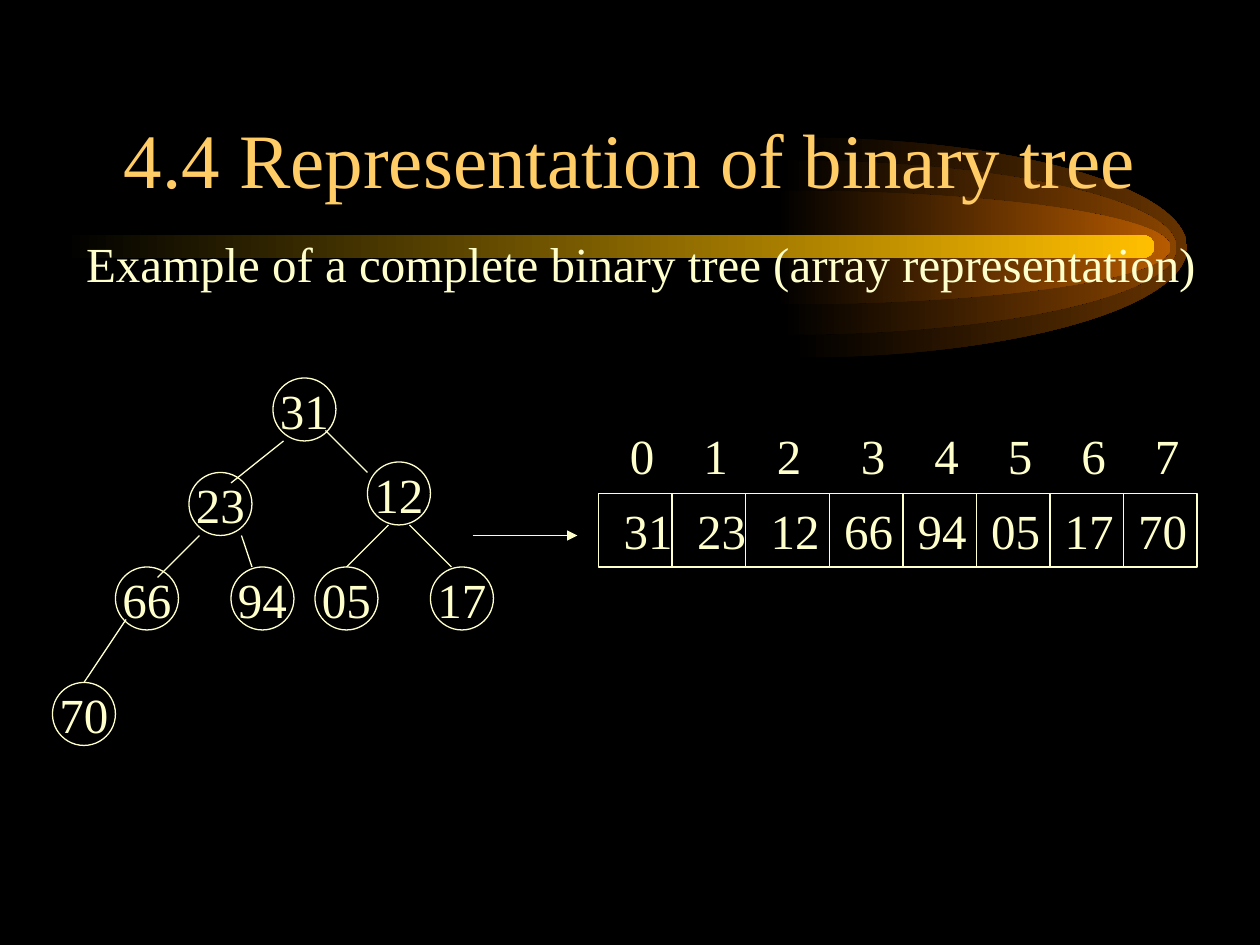
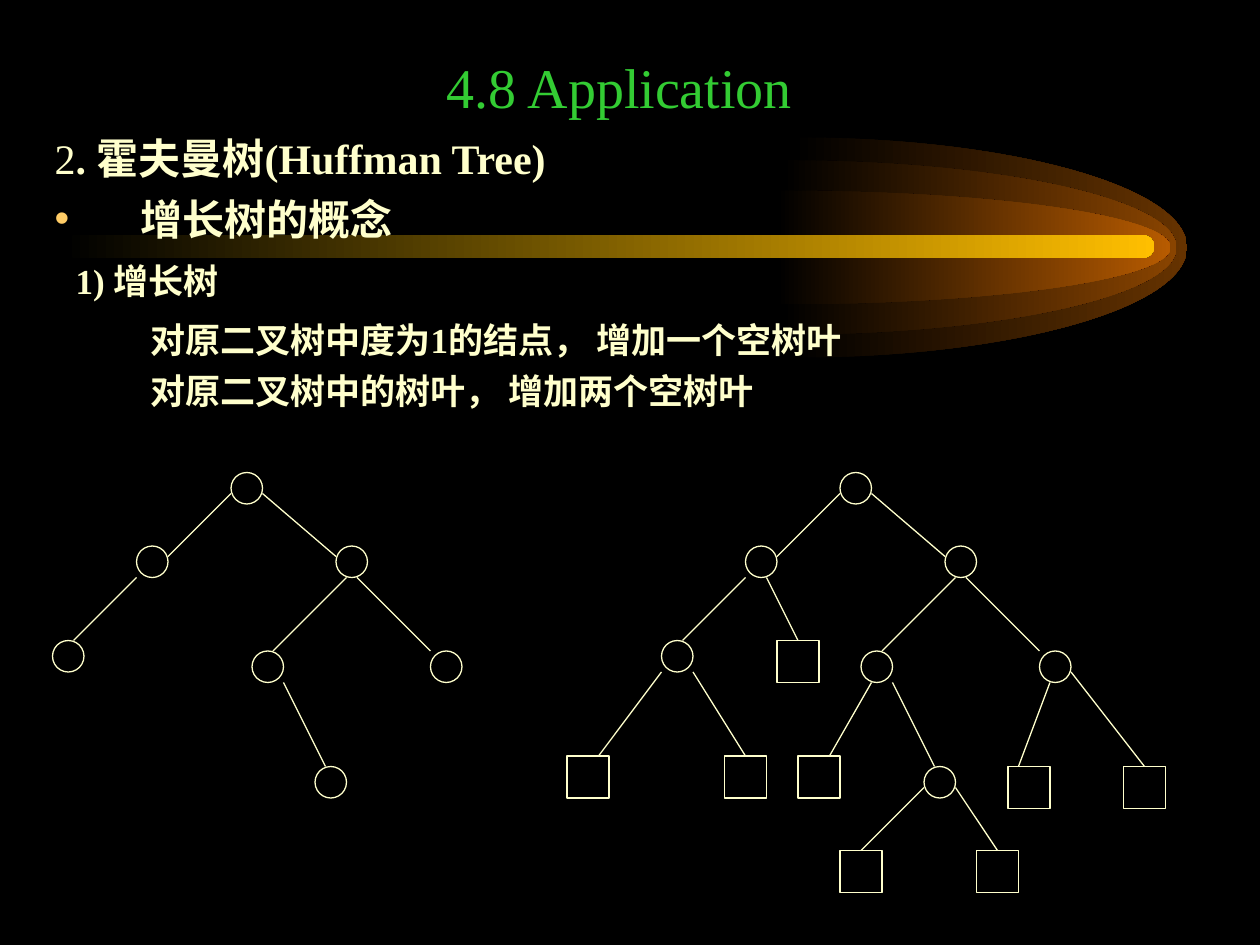
from dataclasses import dataclass

from lxml.etree import SubElement
from pptx import Presentation
from pptx.dml.color import RGBColor
from pptx.enum.shapes import MSO_CONNECTOR, MSO_SHAPE
from pptx.enum.text import MSO_ANCHOR, MSO_AUTO_SIZE, PP_ALIGN
from pptx.oxml.ns import qn
from pptx.util import Cm, Pt


@dataclass(frozen=True)
class Theme:
    font: str = "Times New Roman"
    background: str = "000000"
    text: str = "FFFFCC"
    title: str = "FFCC66"
    title_green: str = "33CC33"
    bar: str = "FFBF00"
    title_size: int = 44
    subtitle_size: int = 32
    node_size: int = 28
    heading_size: int = 24
    detail_size: int = 20
    line_width: float = 0.75


THEME = Theme()

# Comet halos: left edge and half height in cm, colour
HALOS = [(15.98, 2.22, "663300"), (15.77, 1.76, "894400"), (15.65, 1.15, "B75B00")]
HALO_LENGTH, COMET_AXIS = 7.95, 4.99
ARC_HANDLE = 0.55  # length of a Bezier handle for a quarter ellipse

# Everything below is counted in grid steps of a twelfth of an inch.
NUMBERED_NODES = [("31", 26, 36), ("23", 18, 45), ("12", 35, 44), ("66", 11, 54),
                  ("94", 22, 54), ("05", 30, 54), ("70", 5, 65), ("17", 41, 54)]
NUMBERED_EDGES = [(27, 42, 22, 46), (19, 51, 15, 55), (12, 59, 8, 65), (23, 51, 24, 54),
                  (31, 41, 35, 45), (37, 50, 33, 54), (39, 50, 43, 54)]
ARRAY_VALUES = ["31", "23", "12", "66", "94", "05", "17", "70"]
ARRAY_DIVIDERS = [64, 71, 79, 86, 93, 100, 107]
ARRAY_LEFT, ARRAY_TOP, ARRAY_WIDTH, ARRAY_HEIGHT = 57, 47, 57, 7

PLAIN_NODES = [(22, 45), (13, 52), (32, 52), (5, 61), (24, 62), (41, 62), (30, 73)]
PLAIN_EDGES = [(13, 55, 7, 61), (22, 47, 16, 53), (33, 55, 26, 62),
               (25, 47, 32, 53), (34, 55, 41, 62), (27, 65, 31, 73)]
EXTENDED_SHIFT = 58
# Empty leaf corner, then the edge that leads to it
EMPTY_LEAVES = [((74, 61), (73, 55, 76, 61)), ((54, 72), (63, 64, 57, 72)),
                ((69, 72), (66, 64, 71, 72)), ((76, 72), (83, 65, 79, 72)),
                ((80, 81), (88, 75, 82, 81)), ((93, 81), (91, 75, 95, 81)),
                ((96, 73), (100, 65, 97, 73)), ((107, 73), (102, 64, 109, 73))]


def grid(steps):
    return Cm(steps * 2.54 / 12)


def rgb(color):
    return RGBColor.from_string(color)


def add_text(p, text, size=THEME.node_size, color=THEME.text, bold=False):
    r = p.add_run()
    r.text = text
    r.font.name = THEME.font
    r.font.size = Pt(size)
    r.font.bold = bold
    r.font.color.rgb = rgb(color)


def set_list_paragraph(p, before=0, margin=0, bullet=None):
    """Set spacing, left margin in grid steps, and a hanging bullet if given."""
    pPr = p._p.get_or_add_pPr()
    pPr.set("marL", str(grid(margin)))
    pPr.set("indent", str(-grid(margin) if bullet else 0))
    if bullet:
        color = SubElement(SubElement(pPr, qn("a:buClr")), qn("a:srgbClr"))
        color.set("val", THEME.title)
        SubElement(pPr, qn("a:buChar")).set("char", bullet)
    else:
        SubElement(pPr, qn("a:buNone"))
    p.space_before = Pt(before)


def set_frame(tf, left=0.0, top=0.6, right=0.0, wrap=True, anchor=MSO_ANCHOR.TOP):
    tf.word_wrap = wrap
    tf.auto_size = MSO_AUTO_SIZE.NONE
    tf.vertical_anchor = anchor
    tf.margin_left, tf.margin_right = grid(left), grid(right)
    tf.margin_top, tf.margin_bottom = grid(top), grid(0.6)


def place(sp, left, top, width, height):
    sp.left, sp.top, sp.width, sp.height = map(grid, (left, top, width, height))


def fill_with_glow(sp, color):
    """Fade from the background on the left to the colour on the right."""
    sp.shadow.inherit = False
    sp.line.fill.background()
    sp.fill.gradient()
    sp.fill.gradient_angle = 0
    for stop, stop_color in zip(sp.fill.gradient_stops, (THEME.background, color)):
        stop.color.rgb = rgb(stop_color)
    sp.fill.gradient_stops[0].position = 0
    sp.fill.gradient_stops[1].position = 1


def bend(segment, points):
    """Turn a straight path segment into a Bezier curve through the points."""
    segment.clear()
    segment.tag = qn("a:cubicBezTo")
    for x, y in points:
        pt = SubElement(segment, qn("a:pt"))
        pt.set("x", str(Cm(x)))
        pt.set("y", str(Cm(y)))


def add_halo(slide, left, half_height, color):
    """Draw the right half of an ellipse around the comet's axis."""
    builder = slide.shapes.build_freeform(Cm(left), Cm(COMET_AXIS - half_height))
    builder.add_line_segments([(Cm(left + HALO_LENGTH), Cm(COMET_AXIS)),
                               (Cm(left), Cm(COMET_AXIS + half_height))], close=True)
    sp = builder.convert_to_shape()
    x, y = HALO_LENGTH * ARC_HANDLE, half_height * ARC_HANDLE
    bottom = 2 * half_height
    arcs = [[(x, 0), (HALO_LENGTH, half_height - y), (HALO_LENGTH, half_height)],
            [(HALO_LENGTH, half_height + y), (x, bottom), (0, bottom)]]
    for segment, points in zip(list(sp.element.iter(qn("a:lnTo"))), arcs):
        # A new element of the right kind takes the segment's place
        curve = SubElement(segment.getparent(), qn("a:cubicBezTo"))
        segment.getparent().replace(segment, curve)
        bend(curve, points)
    fill_with_glow(sp, color)
    return sp


def decorate_master(prs, slide):
    """Draw the comet on a slide, then move it to the master for all slides."""
    master = prs.slide_master
    master.background.fill.solid()
    master.background.fill.fore_color.rgb = rgb(THEME.background)
    comet = [add_halo(slide, *halo) for halo in HALOS]
    bar = slide.shapes.add_shape(MSO_SHAPE.ROUNDED_RECTANGLE,
                                 Cm(1.27), Cm(4.74), Cm(22), Cm(0.46))
    bar.adjustments[0] = 0.5
    fill_with_glow(bar, THEME.bar)
    for i, sp in enumerate(comet + [bar]):
        sp.element.nvSpPr.cNvPr.set("id", str(20 + i))
        master.shapes.element.insert(2 + i, sp.element)


def set_title(slide, text, box, **fmt):
    sp = slide.shapes.title
    place(sp, *box)
    set_frame(sp.text_frame, left=1.2, right=1.2, anchor=MSO_ANCHOR.BOTTOM)
    p = sp.text_frame.paragraphs[0]
    p.alignment = PP_ALIGN.CENTER
    add_text(p, text, **fmt)


def set_body(slide, box, lines, top=0.6):
    """Each line is its runs, as (text, format) pairs, and its paragraph format."""
    sp = slide.placeholders[1]
    place(sp, *box)
    tf = sp.text_frame
    set_frame(tf, left=1.2, top=top, right=1.2)
    for i, (runs, layout) in enumerate(lines):
        p = tf.add_paragraph() if i else tf.paragraphs[0]
        set_list_paragraph(p, **layout)
        for text, fmt in runs:
            add_text(p, text, **fmt)


def add_outline(slide, kind, left, top, width, height):
    sp = slide.shapes.add_shape(kind, *map(grid, (left, top, width, height)))
    sp.shadow.inherit = False
    sp.fill.background()
    sp.line.color.rgb = rgb(THEME.text)
    sp.line.width = Pt(THEME.line_width)
    return sp


def add_line(slide, x1, y1, x2, y2, arrow=False):
    line = slide.shapes.add_connector(MSO_CONNECTOR.STRAIGHT,
                                      *map(grid, (x1, y1, x2, y2)))
    line.line.color.rgb = rgb(THEME.text)
    line.line.width = Pt(THEME.line_width)
    if arrow:
        SubElement(line.line._get_or_add_ln(), qn("a:tailEnd")).set("type", "triangle")
    SubElement(line.element.spPr, qn("a:effectLst"))
    return line


def add_numbered_node(slide, label, left, top):
    tf = add_outline(slide, MSO_SHAPE.OVAL, left, top, 6, 6).text_frame
    set_frame(tf, wrap=False, anchor=MSO_ANCHOR.MIDDLE)
    p = tf.paragraphs[0]
    p.alignment = PP_ALIGN.CENTER
    add_text(p, label)


def add_tabbed_row(tf, values, stops):
    p = tf.paragraphs[0]
    p.alignment = PP_ALIGN.LEFT
    tab_list = SubElement(p._p.get_or_add_pPr(), qn("a:tabLst"))
    for stop in stops:
        tab = SubElement(tab_list, qn("a:tab"))
        tab.set("pos", str(grid(stop)))
        tab.set("algn", "l")
    add_text(p, "\t".join(values))


def add_array(slide):
    cells = add_outline(slide, MSO_SHAPE.RECTANGLE,
                        ARRAY_LEFT, ARRAY_TOP, ARRAY_WIDTH, ARRAY_HEIGHT)
    set_frame(cells.text_frame, left=2.4, anchor=MSO_ANCHOR.MIDDLE)
    add_tabbed_row(cells.text_frame, ARRAY_VALUES,
                   [7 * i for i in range(1, len(ARRAY_VALUES))])
    for x in ARRAY_DIVIDERS:
        add_line(slide, x, ARRAY_TOP, x, ARRAY_TOP + ARRAY_HEIGHT)
    indices = slide.shapes.add_textbox(*map(grid, (58.8, 39.8, 54.8, 6.8)))
    set_frame(indices.text_frame, left=1.2, top=0.75)
    add_tabbed_row(indices.text_frame, [str(i) for i in range(len(ARRAY_VALUES))],
                   [x - ARRAY_LEFT for x in ARRAY_DIVIDERS])


def add_plain_tree(slide, shift=0):
    for x, y in PLAIN_NODES:
        add_outline(slide, MSO_SHAPE.OVAL, x + shift, y, 3, 3)
    for x1, y1, x2, y2 in PLAIN_EDGES:
        add_line(slide, x1 + shift, y1, x2 + shift, y2)


def add_empty_leaf(slide, corner, edge, side=4):
    leaf = add_outline(slide, MSO_SHAPE.RECTANGLE, *corner, side, side)
    line = add_line(slide, *edge)
    if edge[2] == corner[0] + side / 2:
        line.end_connect(leaf, 0)


def build_array_slide(slide):
    set_title(slide, "4.4 Representation of binary tree", (9, 5, 102, 15),
              size=THEME.title_size, color=THEME.title)
    caption = "Example of a complete binary tree (array representation)"
    set_body(slide, (3, 21, 115, 62), [([(caption, {})], dict(margin=4))], top=1.25)
    add_array(slide)
    for node in NUMBERED_NODES:
        add_numbered_node(slide, *node)
    for edge in NUMBERED_EDGES:
        add_line(slide, *edge)
    add_line(slide, 45, 51, 55, 51, arrow=True)


def build_huffman_slide(slide):
    set_title(slide, "4.8 Application", (8, 3, 102, 9),
              size=THEME.subtitle_size, color=THEME.title_green)
    heading = dict(size=THEME.heading_size, bold=True)
    detail = dict(size=THEME.detail_size, bold=True)
    set_body(slide, (4, 12, 113, 75), [
        ([("2", dict(size=THEME.heading_size)), (". 霍夫曼树(Huffman Tree)", heading)], {}),
        ([("增长树的概念", heading)], dict(before=6, margin=8.2, bullet="•")),
        ([("1) 增长树", detail)], dict(before=9, margin=2)),
        ([("对原二叉树中度为1的结点， 增加一个空树叶", detail)], dict(before=9.5, margin=9.1)),
        ([("对原二叉树中的树叶， 增加两个空树叶", detail)], dict(before=5.5, margin=9.1)),
    ])
    add_plain_tree(slide)
    add_plain_tree(slide, EXTENDED_SHIFT)
    for corner, edge in EMPTY_LEAVES:
        add_empty_leaf(slide, corner, edge)


def main():
    prs = Presentation()
    prs.slide_width, prs.slide_height = Cm(25.4), Cm(19.05)
    layout = prs.slide_layouts[1]
    array_slide = prs.slides.add_slide(layout)
    decorate_master(prs, array_slide)
    build_array_slide(array_slide)
    build_huffman_slide(prs.slides.add_slide(layout))
    prs.save("out.pptx")


if __name__ == "__main__":
    main()
